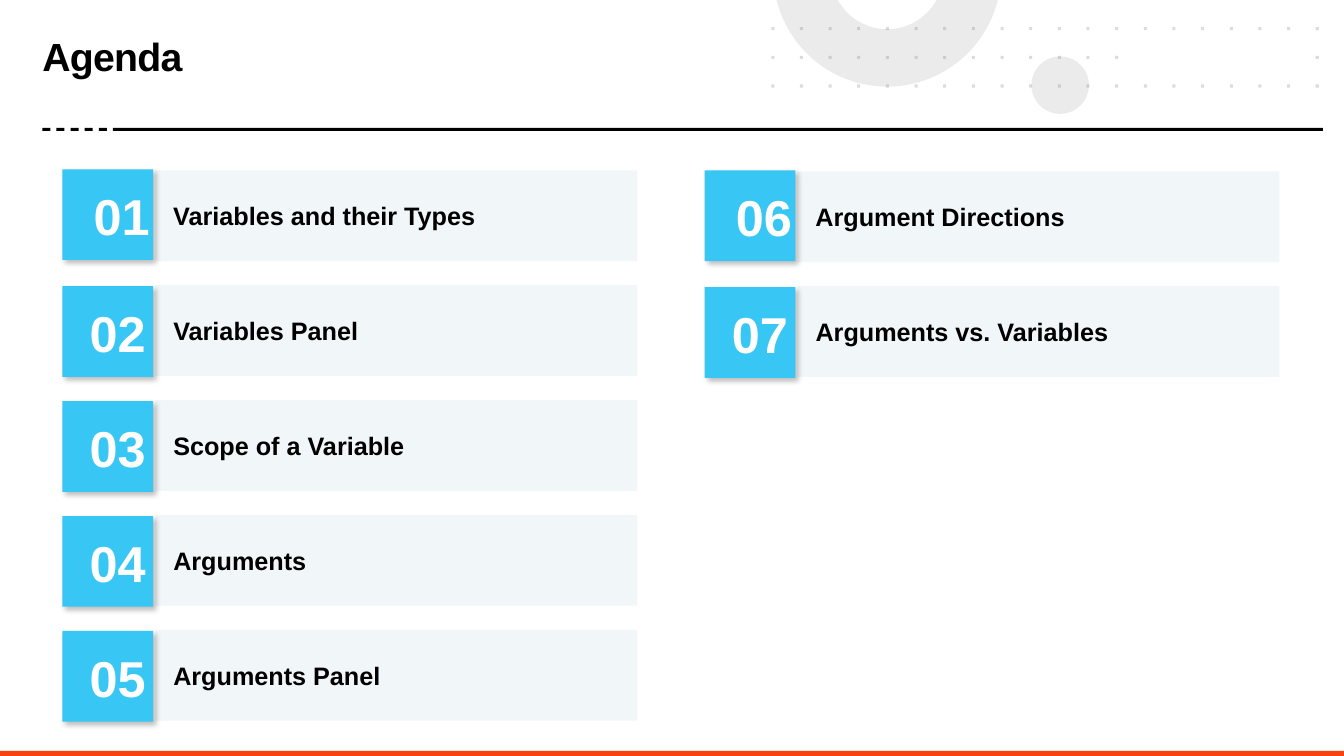
"""Build the agenda slide with numbered topic cards in two columns."""
import math

import pptx
import pptx.dml.color
import pptx.enum.shapes
import pptx.enum.text
import pptx.oxml
import pptx.oxml.ns
import pptx.util
from pptx.util import Inches

RGBColor = pptx.dml.color.RGBColor
BLACK = RGBColor(0x00, 0x00, 0x00)
WHITE = RGBColor(0xFF, 0xFF, 0xFF)
CIRCLE_GRAY = RGBColor(0xD9, 0xD9, 0xD9)
DOT_SLATE = RGBColor(0x44, 0x54, 0x6A)
FOOTER_ORANGE = RGBColor(0xFA, 0x42, 0x11)
BAR_GRAY = RGBColor(0xF1, 0xF6, 0xF8)
TILE_BLUE = RGBColor(0x38, 0xC6, 0xF4)

COLUMNS = [
    (0.62, 1.69, ["Variables and their Types", "Variables Panel",
                  "Scope of a Variable", "Arguments", "Arguments Panel"]),
    (6.99, 1.7, ["Argument Directions", "Arguments vs. Variables"]),
]
ROW_PITCH = 1.14
CARD_HEIGHT = 0.9
DASH_COUNT = 5
DOT_PITCH = 0.2842
DOT_SIZE = 0.03
FULL_ROW = range(20)
DOT_ROWS = [FULL_ROW, [*range(13), 19], FULL_ROW]


def paint(shape, color, opacity=100):
    """Give a shape a flat fill without outline or shadow."""
    shape.shadow.inherit = False
    shape.line.fill.background()
    shape.fill.solid()
    shape.fill.fore_color.rgb = color
    if opacity < 100:
        color_element = shape.fill._xPr.find(".//" + pptx.oxml.ns.qn("a:srgbClr"))
        alpha = pptx.oxml.parse_xml(
            f'<a:alpha {pptx.oxml.ns.nsdecls("a")} val="{opacity * 1000}"/>')
        color_element.append(alpha)


def add_block(shapes, kind, left, top, width, height, color, opacity=100):
    """Add a filled preset shape."""
    shape = shapes.add_shape(kind, Inches(left), Inches(top), Inches(width), Inches(height))
    paint(shape, color, opacity)
    return shape


def add_rectangle(shapes, left, top, width, height, color):
    """Add a filled rectangle."""
    kind = pptx.enum.shapes.MSO_SHAPE.RECTANGLE
    return add_block(shapes, kind, left, top, width, height, color)


def add_outline(shapes, contours, color, opacity):
    """Add one freeform made of closed contours."""
    contours = [[(Inches(x), Inches(y)) for x, y in contour] for contour in contours]
    builder = shapes.build_freeform(*contours[0][0])
    for index, contour in enumerate(contours):
        if index:
            builder.move_to(*contour[0])
        builder.add_line_segments(contour[1:], close=True)
    paint(builder.convert_to_shape(), color, opacity)


def visible_arc(center_x, center_y, radius, steps=48):
    """Return the points of a circle below the top edge, from right to left."""
    start = math.asin(-center_y / radius)
    sweep = math.pi - 2 * start
    angles = [start + sweep * step / steps for step in range(steps + 1)]
    return [(center_x + radius * math.cos(angle), center_y + radius * math.sin(angle))
            for angle in angles]


def add_decoration(shapes):
    """Draw the disc, the cut ring and the dot grid."""
    add_block(shapes, pptx.enum.shapes.MSO_SHAPE.OVAL, 10.23, 0.56, 0.57, 0.57,
              CIRCLE_GRAY, 50)
    outer = visible_arc(8.8, -0.27, 1.13)
    inner = visible_arc(8.8, -0.27, 0.56)
    add_outline(shapes, [outer + inner[::-1]], CIRCLE_GRAY, 50)
    dots = []
    for row, columns in enumerate(DOT_ROWS):
        top = 0.27 + row * DOT_PITCH
        for column in columns:
            left = 7.65 + column * DOT_PITCH
            right, bottom = left + DOT_SIZE, top + DOT_SIZE
            dots.append([(left, top), (right, top), (right, bottom), (left, bottom)])
    add_outline(shapes, dots, DOT_SLATE, 20)


def write(paragraph, text, size, color):
    """Add a bold Arial run to a paragraph."""
    run = paragraph.add_run()
    run.text = text
    run.font.name = "Arial"
    run.font.size = pptx.util.Pt(size)
    run.font.bold = True
    run.font.color.rgb = color
    return run


def add_title(slide, text):
    """Place and format the slide title."""
    title = slide.shapes.title
    title.left, title.top = Inches(0.42), Inches(0.39)
    title.width, title.height = Inches(7.23), Inches(0.75)
    frame = title.text_frame
    frame.margin_left = frame.margin_right = frame.margin_top = frame.margin_bottom = 0
    frame.vertical_anchor = pptx.enum.text.MSO_ANCHOR.TOP
    frame.auto_size = pptx.enum.text.MSO_AUTO_SIZE.NONE
    paragraph = frame.paragraphs[0]
    paragraph.alignment = pptx.enum.text.PP_ALIGN.LEFT
    paragraph.line_spacing = 0.85
    run = write(paragraph, text, 28, BLACK)
    run.font._element.set("spc", "-50")


def add_text(shapes, left, top, width, height, text, size, color):
    """Add a text box that grows with its text."""
    box = shapes.add_textbox(Inches(left), Inches(top), Inches(width), Inches(height))
    box.text_frame.word_wrap = True
    box.text_frame.auto_size = pptx.enum.text.MSO_AUTO_SIZE.SHAPE_TO_FIT_TEXT
    write(box.text_frame.paragraphs[0], text, size, color)


def add_tile_shadow(tile):
    """Give a tile a soft shadow to the lower right."""
    effects = tile._element.spPr.find(pptx.oxml.ns.qn("a:effectLst"))
    effects.append(pptx.oxml.parse_xml(
        f'<a:outerShdw {pptx.oxml.ns.nsdecls("a")} blurRad="{pptx.util.Pt(4)}" '
        f'dist="{pptx.util.Pt(3)}" dir="2700000" algn="tl" rotWithShape="0">'
        '<a:srgbClr val="000000"><a:alpha val="25000"/></a:srgbClr></a:outerShdw>'))


def add_card(slide, left, top, number, label, is_first):
    """Add a grouped agenda card: bar, number tile and label."""
    shapes = slide.shapes.add_group_shape().shapes
    tile_top = top - 0.01 if is_first else top + 0.01
    number_left = left + (0.21 if is_first else 0.17)
    label_width = 3.97 if is_first else 5.08
    add_rectangle(shapes, left + 0.92, top, 4.78, CARD_HEIGHT, BAR_GRAY)
    tile = add_rectangle(shapes, left, tile_top, CARD_HEIGHT, CARD_HEIGHT, TILE_BLUE)
    add_tile_shadow(tile)
    add_text(shapes, number_left, tile_top + 0.11, 0.85, 0.71, f"{number:02d}", 36, WHITE)
    add_text(shapes, left + 1, top + 0.25, label_width, 0.4, label, 18, BLACK)


def main():
    """Build and save the presentation."""
    presentation = pptx.Presentation()
    presentation.slide_width = Inches(13.33)
    presentation.slide_height = Inches(7.5)
    slide = presentation.slides.add_slide(presentation.slide_layouts[5])
    add_decoration(slide.shapes)
    add_rectangle(slide.shapes, 0, 7.45, 13.33, 0.05, FOOTER_ORANGE)
    add_title(slide, "Agenda")
    add_rectangle(slide.shapes, 1.12, 1.27, 12, 0.03, BLACK)
    for dash in range(DASH_COUNT):
        add_rectangle(slide.shapes, 0.42 + 0.14 * dash, 1.27, 0.08, 0.03, BLACK)
    number = 1
    for left, top, labels in COLUMNS:
        for row, label in enumerate(labels):
            add_card(slide, left, top + row * ROW_PITCH, number, label, row == 0)
            number += 1
    presentation.save("out.pptx")


if __name__ == "__main__":
    main()
